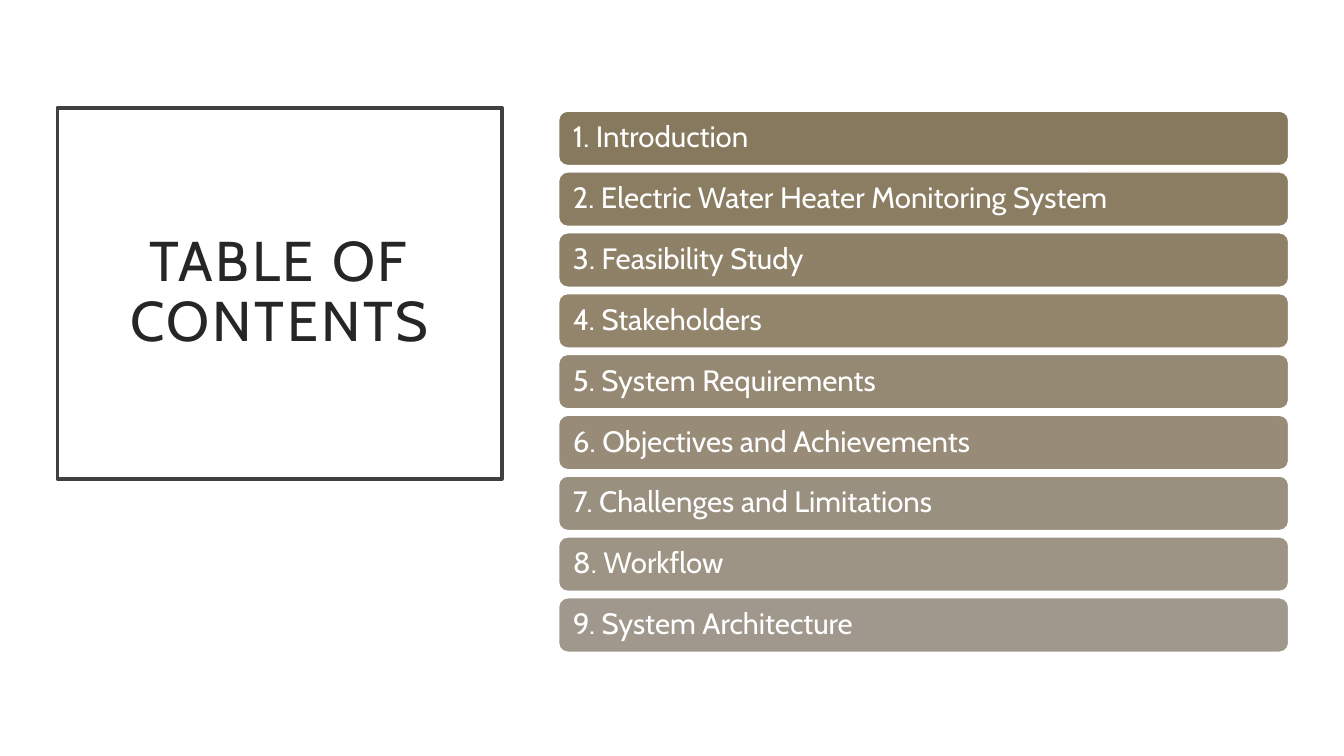
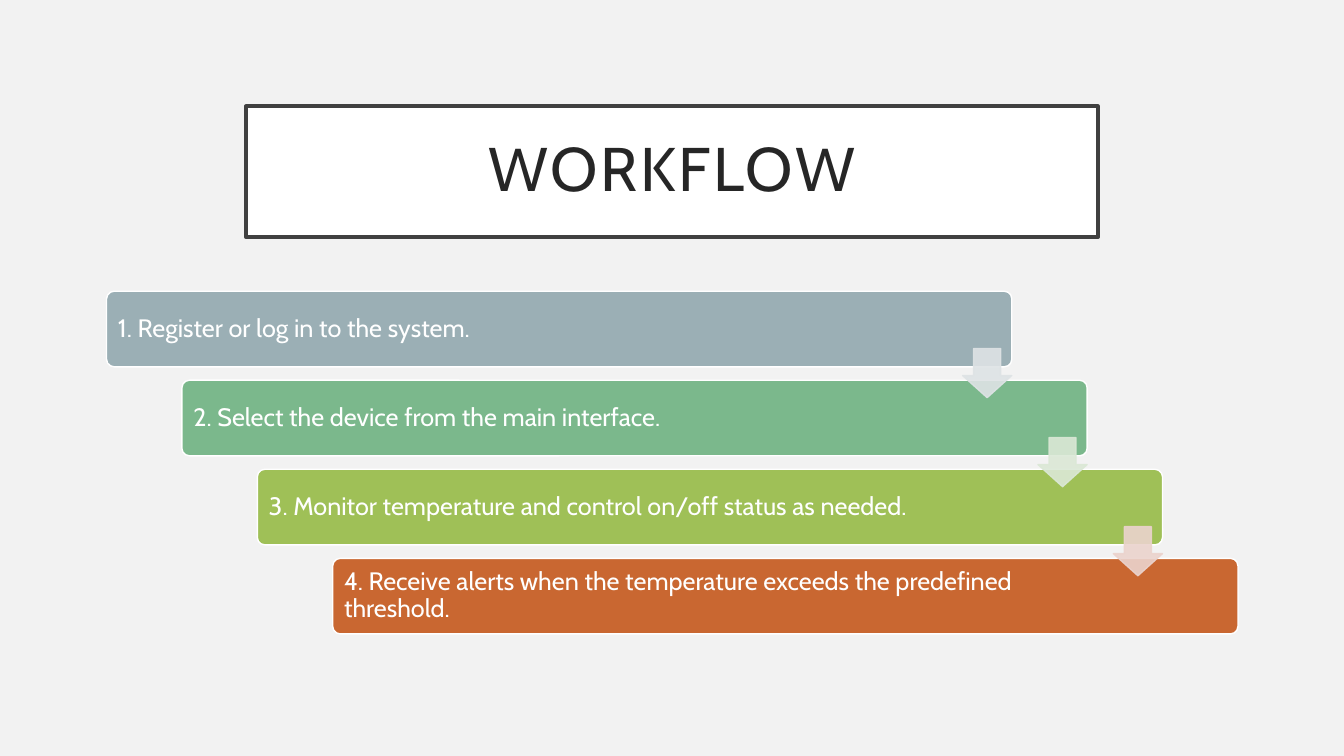
from lxml import etree
from pptx import Presentation
from pptx.dml.color import RGBColor
from pptx.enum.shapes import MSO_SHAPE
from pptx.enum.text import MSO_ANCHOR, PP_ALIGN
from pptx.oxml.ns import qn
from pptx.util import Pt

RECT, ROUND = MSO_SHAPE.RECTANGLE, MSO_SHAPE.ROUNDED_RECTANGLE
ARROW = MSO_SHAPE.DOWN_ARROW
MIDDLE = MSO_ANCHOR.MIDDLE
LEFT, CENTER = PP_ALIGN.LEFT, PP_ALIGN.CENTER

FONT = "Cabin"
WHITE = RGBColor(0xFF, 0xFF, 0xFF)
PALE_GREY = RGBColor(0xF2, 0xF2, 0xF2)
FRAME = RGBColor(0x40, 0x40, 0x40)
INK = RGBColor(0x26, 0x26, 0x26)

# Content: text and bar colour; workflow steps add the colour of the arrow below
CONTENTS = [
    ("1. Introduction", RGBColor(0x87, 0x79, 0x5D)),
    ("2. Electric Water Heater Monitoring System", RGBColor(0x8B, 0x7D, 0x62)),
    ("3. Feasibility Study", RGBColor(0x8F, 0x81, 0x67)),
    ("4. Stakeholders", RGBColor(0x93, 0x85, 0x6C)),
    ("5. System Requirements", RGBColor(0x95, 0x89, 0x73)),
    ("6. Objectives and Achievements", RGBColor(0x98, 0x8C, 0x79)),
    ("7. Challenges and Limitations", RGBColor(0x9A, 0x90, 0x80)),
    ("8. Workflow", RGBColor(0x9D, 0x94, 0x86)),
    ("9. System Architecture", RGBColor(0xA0, 0x98, 0x8C)),
]
STEPS = [
    ("1. Register or log in to the system.",
     RGBColor(0x9B, 0xAF, 0xB5), RGBColor(0xDE, 0xE3, 0xE5)),
    ("2. Select the device from the main interface.",
     RGBColor(0x7B, 0xB8, 0x8C), RGBColor(0xDB, 0xE8, 0xD6)),
    ("3. Monitor temperature and control on/off status as needed.",
     RGBColor(0x9F, 0xC0, 0x57), RGBColor(0xEB, 0xD3, 0xCD)),
    ("4. Receive alerts when the temperature exceeds the predefined threshold.",
     RGBColor(0xC9, 0x67, 0x31), None),
]


def add_slide(prs, background):
    s = prs.slides.add_slide(prs.slide_layouts[6])
    s.background.fill.solid()
    s.background.fill.fore_color.rgb = background
    return s


def add_box(s, kind, box, fill, line, line_width=1, adjustments=()):
    sp = s.shapes.add_shape(kind, *[Pt(v) for v in box])
    sp.shadow.inherit = False
    sp.fill.solid()
    sp.fill.fore_color.rgb = fill
    sp.line.color.rgb = line
    sp.line.width = Pt(line_width)
    for i, value in enumerate(adjustments):
        sp.adjustments[i] = value
    return sp


def set_text(sp, text, size, color, align, left, right, vertical):
    tf = sp.text_frame
    tf.word_wrap = True
    tf.vertical_anchor = MIDDLE
    tf.margin_left, tf.margin_right = Pt(left), Pt(right)
    tf.margin_top = tf.margin_bottom = Pt(vertical)
    p = tf.paragraphs[0]
    p.alignment = align
    p.line_spacing = 0.9
    p.font.name, p.font.size, p.font.color.rgb = FONT, Pt(size), color
    r = p.add_run()
    r.text = text
    return r


def add_title(s, text, box, size):
    sp = add_box(s, RECT, box, WHITE, FRAME, 2.5)
    r = set_text(sp, text, size, INK, CENTER, 14.4, 14.4, 14.4)
    r.font._element.set("spc", "200")  # letter spacing of 2 pt


def set_opacity(sp, percent):
    for color in sp._element.spPr.iter(qn("a:srgbClr")):
        etree.SubElement(color, qn("a:alpha")).set("val", str(percent * 1000))


def build_contents(prs):
    s = add_slide(prs, WHITE)
    add_title(s, "TABLE OF CONTENTS", (41, 77, 317.5, 265), 40)
    left, top, width, height, pitch = 399, 79.4, 521.5, 38.9, 43.45
    for i, (text, color) in enumerate(CONTENTS):
        sp = add_box(s, ROUND, (left, top + i * pitch, width, height), color, WHITE)
        set_text(sp, text, 21, WHITE, LEFT, 8.4, 8.4, 0)


def build_workflow(prs):
    s = add_slide(prs, PALE_GREY)
    add_title(s, "WORKFLOW", (175.7, 75.9, 608.6, 93.6), 44)
    left, top, width, height = 76.1, 208, 646.6, 54
    step_x, step_y = 53.85, 63.6
    arrow_size, arrow_drop = 35.1, 41

    # Staircase of bars
    for i, (text, color, _) in enumerate(STEPS):
        box = (left + i * step_x, top + i * step_y, width, height)
        sp = add_box(s, ROUND, box, color, WHITE, adjustments=[0.1])
        set_text(sp, text, 18, WHITE, LEFT, 6.6, 95, 0)

    # Arrows, flush with the right end of the bar they leave
    for i, (_, _, color) in enumerate(STEPS[:-1]):
        box = (left + i * step_x + width - arrow_size,
               top + i * step_y + arrow_drop, arrow_size, arrow_size)
        # Head starts at 55 % of the height, shaft takes 55 % of the width
        sp = add_box(s, ARROW, box, color, color, adjustments=[0.55, 0.45])
        set_opacity(sp, 90)


def main():
    prs = Presentation()
    prs.slide_width, prs.slide_height = Pt(960), Pt(540)
    build_contents(prs)
    build_workflow(prs)
    prs.save("out.pptx")


if __name__ == "__main__":
    main()
